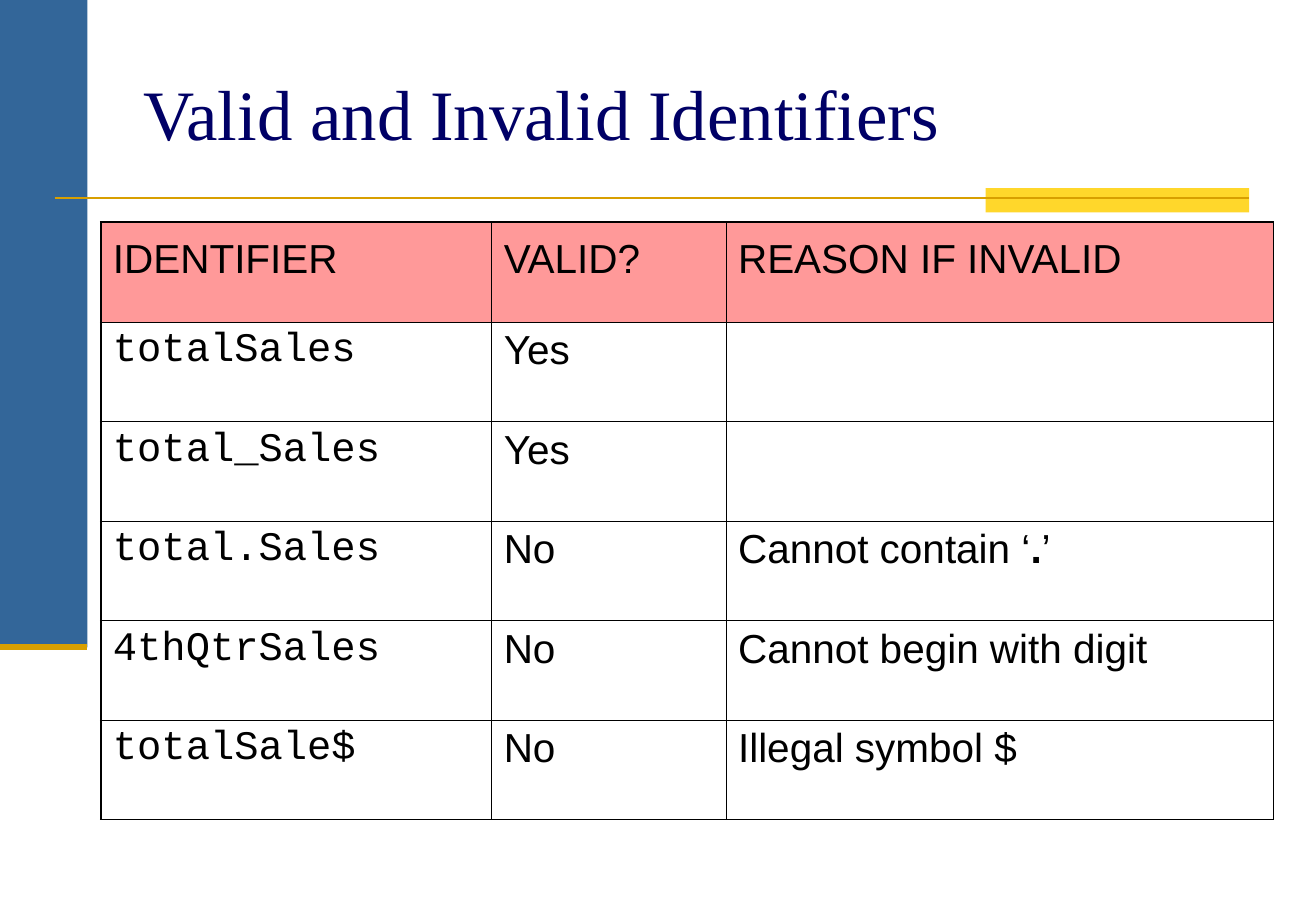
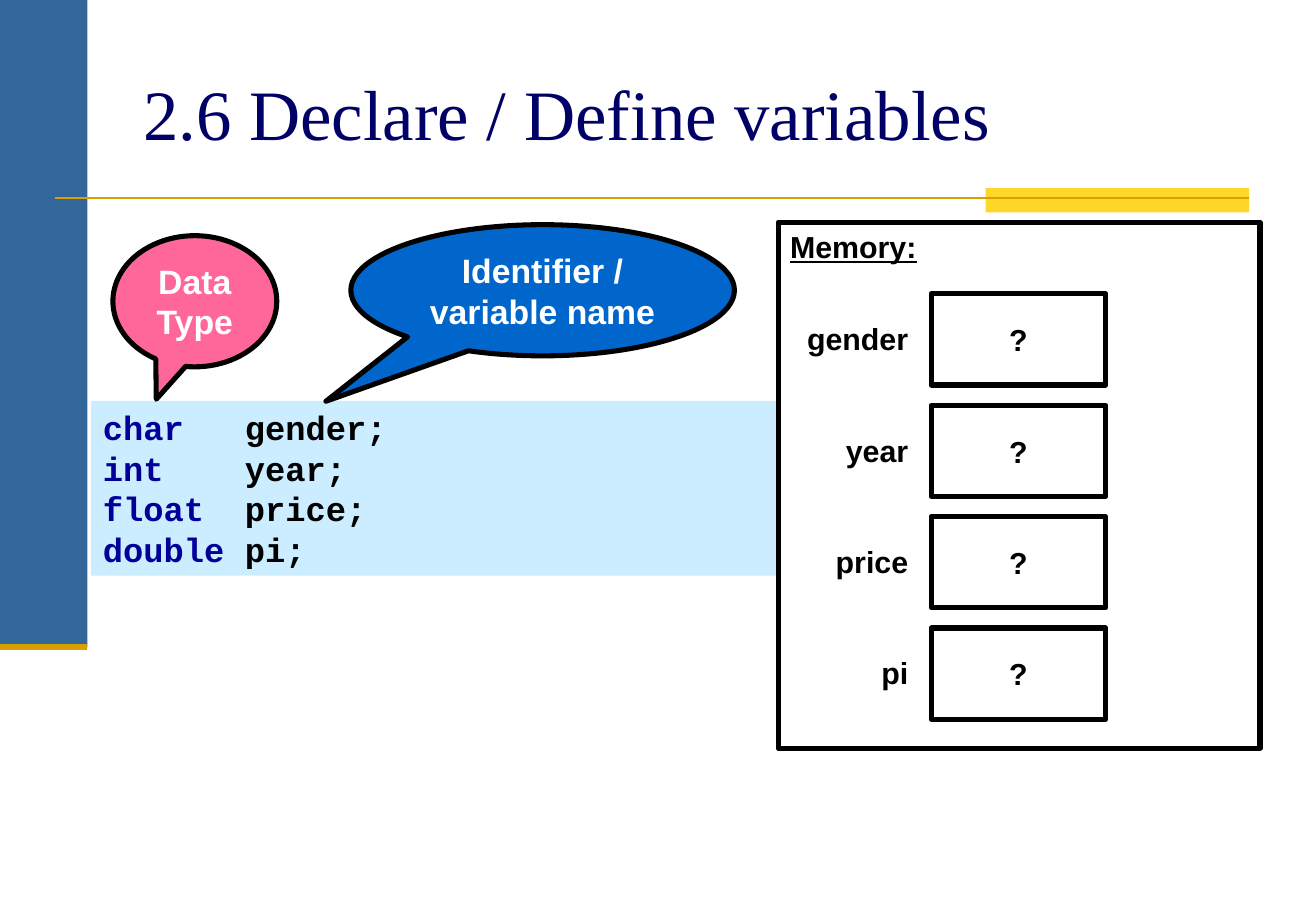
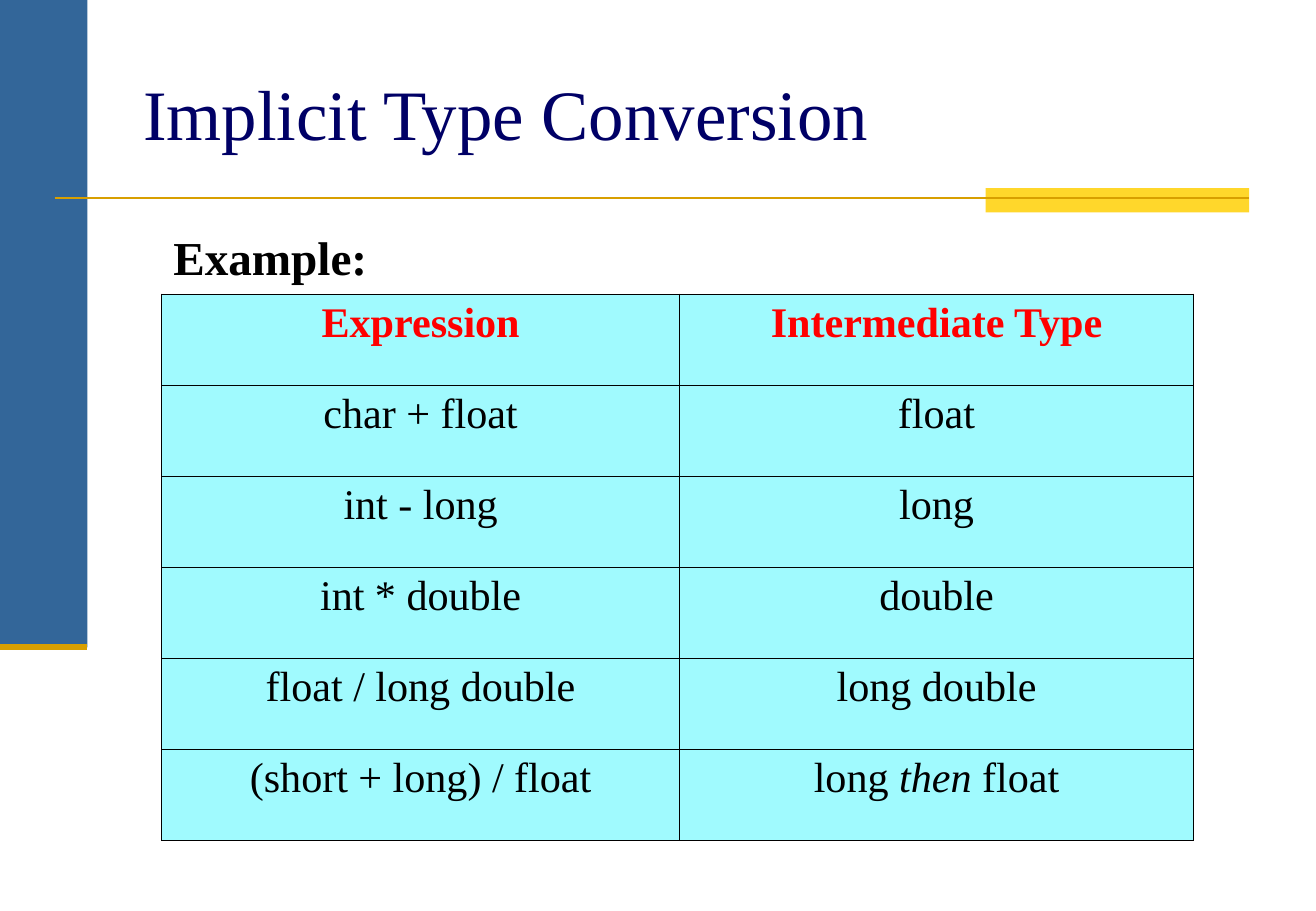
from lxml import etree
from pptx import Presentation, util as u
from pptx.dml.color import RGBColor
from pptx.enum import shapes, text
from pptx.oxml.ns import qn

# Shared look
WIDTH, HEIGHT = 10.84, 7.5
SANS, SERIF, MONO = "Arial", "Times New Roman", "Courier New"
BLACK, WHITE, NAVY, GOLD = "000000", "FFFFFF", "000066", "D89F00"
THIN, THICK = 0.45, 1.08
LEFT, CENTER, RIGHT = (text.PP_ALIGN.LEFT, text.PP_ALIGN.CENTER,
                       text.PP_ALIGN.RIGHT)
TOP, MIDDLE = text.MSO_ANCHOR.TOP, text.MSO_ANCHOR.MIDDLE
RECT = shapes.MSO_SHAPE.RECTANGLE
CALLOUT = shapes.MSO_SHAPE.OVAL_CALLOUT
BAND_W, BAND_H = 0.72, 5.33
RULE_Y, RIGHT_EDGE = 1.63, 10.29
TITLE_BOX = (1.08, 0.3, 9.21, 1.25)

# Content: a text is a list of runs, each with its own style changes
IDENTIFIERS = [
    ("totalSales", "Yes", []),
    ("total_Sales", "Yes", []),
    ("total.Sales", "No",
     [("Cannot contain ‘", {}), (".", {"bold": True}), ("’", {})]),
    ("4thQtrSales", "No", "Cannot begin with digit"),
    ("totalSale$", "No", "Illegal symbol $"),
]
VARIABLES = [("char", "gender"), ("int", "year"),
             ("float", "price"), ("double", "pi")]
CALLOUTS = [
    ("Data Type", (0.93, 1.94, 1.35, 1.08), (-0.235, 0.747), "FF6699"),
    ("Identifier / variable name", (2.89, 1.85, 3.16, 1.08),
     (-0.565, 0.846), "0066CC"),
]
CONVERSIONS = [
    ("char + float", "float"),
    ("int - long", "long"),
    ("int * double", "double"),
    ("float / long double", "long double"),
    ("(short + long) / float",
     [("long ", {}), ("then", {"italic": True}), (" float", {})]),
]


def color(value):
    return RGBColor.from_string(value)


def inches(lengths):
    return [u.Inches(length) for length in lengths]


def add_runs(para, runs, font=SANS, size=18, ink=BLACK, bold=False,
             align=LEFT, underline=False):
    para.alignment = align
    for words, changes in [(runs, {})] if isinstance(runs, str) else runs:
        span = para.add_run()
        span.text = words
        span.font.name = font
        span.font.size = u.Pt(size)
        span.font.color.rgb = color(changes.get("ink", ink))
        span.font.bold = changes.get("bold", bold)
        span.font.italic = changes.get("italic", False)
        span.font.underline = underline


def write(frame, paragraphs, anchor=TOP, wrap=True, **style):
    frame.word_wrap = wrap
    frame.vertical_anchor = anchor
    for index, runs in enumerate(paragraphs):
        para = frame.add_paragraph() if index else frame.paragraphs[0]
        add_runs(para, runs, **style)


def add_box(page, place, fill, line=None, kind=RECT):
    box = page.shapes.add_shape(kind, *inches(place))
    box.shadow.inherit = False
    box.fill.solid()
    box.fill.fore_color.rgb = color(fill)
    if line:
        box.line.color.rgb = color(BLACK)
        box.line.width = u.Pt(line)
    else:
        box.line.fill.background()
    return box


def add_label(page, place, words, **style):
    label = page.shapes.add_textbox(*inches(place))
    write(label.text_frame, [words], **style)


def add_rule(page, left, right, top, width):
    rule = page.shapes.add_connector(shapes.MSO_CONNECTOR.STRAIGHT,
                                     *inches((left, top, right, top)))
    rule.line.color.rgb = color(GOLD)
    rule.line.width = u.Pt(width)
    etree.SubElement(rule.element.spPr, qn("a:effectLst"))
    return rule


def decorate(layout, page):
    """Build the bands and rules on a page, then hand them to its layout."""
    parts = [
        add_box(page, (0, 0, BAND_W, BAND_H), "336699"),
        add_box(page, (8.12, 1.55, RIGHT_EDGE - 8.12, 0.2), "FFD72B"),
        add_rule(page, 0.45, RIGHT_EDGE, RULE_Y, 1.5),
        add_rule(page, 0, BAND_W, BAND_H, 3.5),
    ]
    for index, part in enumerate(parts):
        layout.shapes.element.insert(2 + index, part.element)
    title = layout.placeholders[0]
    title.left, title.top, title.width, title.height = inches(TITLE_BOX)


def set_title(page, words):
    write(page.shapes.title.text_frame, [words], anchor=MIDDLE,
          font=SERIF, size=42, ink=NAVY)


def set_borders(cell, widths):
    props = cell._tc.get_or_add_tcPr()
    for side, width in zip("LRTB", widths):
        line = etree.SubElement(props, qn(f"a:ln{side}"), w=str(u.Pt(width)))
        fill = etree.SubElement(line, qn("a:solidFill"))
        etree.SubElement(fill, qn("a:srgbClr"), val=BLACK)


def add_grid(page, origin, columns, row_height, rows, outer, look):
    """look(row, column) gives the fill, line spacing and text style."""
    size = (sum(columns), row_height * len(rows))
    table = page.shapes.add_table(len(rows), len(columns),
                                  *inches(origin + size)).table
    table.first_row = table.horz_banding = False
    for column, width in zip(table.columns, columns):
        column.width = u.Inches(width)
    last_row, last_column = len(rows) - 1, len(columns) - 1
    for r, row in enumerate(rows):
        for c, runs in enumerate(row):
            cell = table.cell(r, c)
            edges = (c == 0, c == last_column, r == 0, r == last_row)
            set_borders(cell, [outer if edge else THIN for edge in edges])
            fill, spacing, style = look(r, c)
            if fill:
                cell.fill.solid()
                cell.fill.fore_color.rgb = color(fill)
            else:
                cell.fill.background()
            para = cell.text_frame.paragraphs[0]
            para.line_spacing = spacing
            add_runs(para, runs, **style)


# Slide 1: identifier table
def identifier_look(row, column):
    if row == 0:
        return "FF9999", 1.2, {"size": 24}
    return None, 1.0, {"size": 24, "font": SANS if column else MONO}


def build_identifiers(page):
    header = ("IDENTIFIER", "VALID?", "REASON IF INVALID")
    add_grid(page, (0.83, 1.83), (3.22, 1.93, 4.51), 0.82,
             [header] + IDENTIFIERS, THICK, identifier_look)


# Slide 2: declarations and the memory they take
def build_variables(page):
    code = add_box(page, (0.75, 3.3, 9.33, 1.44), "CCECFF")
    lines = [[(kind, {"ink": "000099"}),
              (" " * (7 - len(kind)) + name + ";", {})]
             for kind, name in VARIABLES]
    write(code.text_frame, lines, font=MONO, size=20, bold=True)

    for words, place, tip, fill in CALLOUTS:
        bubble = add_box(page, place, fill, line=3, kind=CALLOUT)
        bubble.adjustments[0], bubble.adjustments[1] = tip
        write(bubble.text_frame, [words], anchor=MIDDLE, size=20,
              ink=WHITE, bold=True, align=CENTER)

    memory_left, pitch = 6.41, 11 / 12
    memory = add_box(page, (memory_left, 1.83, 3.97, 4.33), WHITE, line=3)
    write(memory.text_frame, ["Memory:"], wrap=False, bold=True,
          underline=True)
    for index, (_, name) in enumerate(VARIABLES):
        top = 2.42 + index * pitch
        slot = add_box(page, (7.67, top, 1.44, 0.75), WHITE, line=3)
        write(slot.text_frame, ["?"], anchor=MIDDLE, wrap=False, bold=True,
              align=CENTER)
        add_label(page, (memory_left, top + 0.17, 1.17, 0.4), name,
                  bold=True, align=RIGHT)


# Slide 3: conversion table
def conversion_look(row, column):
    style = {"font": SERIF, "size": 25, "align": CENTER}
    if row == 0:
        style.update(ink="FF0000", bold=True)
    return "A0FAFE", 1.0, style


def build_conversions(page):
    add_grid(page, (1.33, 2.42), (4.27, 4.23), 0.75,
             [("Expression", "Intermediate Type")] + CONVERSIONS,
             THIN, conversion_look)
    add_label(page, (1.33, 1.83, 2.83, 0.57), "Example:",
              font=SERIF, size=28, bold=True)


PAGES = [
    ("Valid and Invalid Identifiers", build_identifiers),
    ("2.6 Declare / Define variables", build_variables),
    ("Implicit Type Conversion", build_conversions),
]


def main():
    deck = Presentation()
    deck.slide_width, deck.slide_height = inches((WIDTH, HEIGHT))
    layout = deck.slide_layouts[5]
    for index, (title, build) in enumerate(PAGES):
        page = deck.slides.add_slide(layout)
        if index == 0:
            decorate(layout, page)
        set_title(page, title)
        build(page)
    deck.save("out.pptx")


if __name__ == "__main__":
    main()
